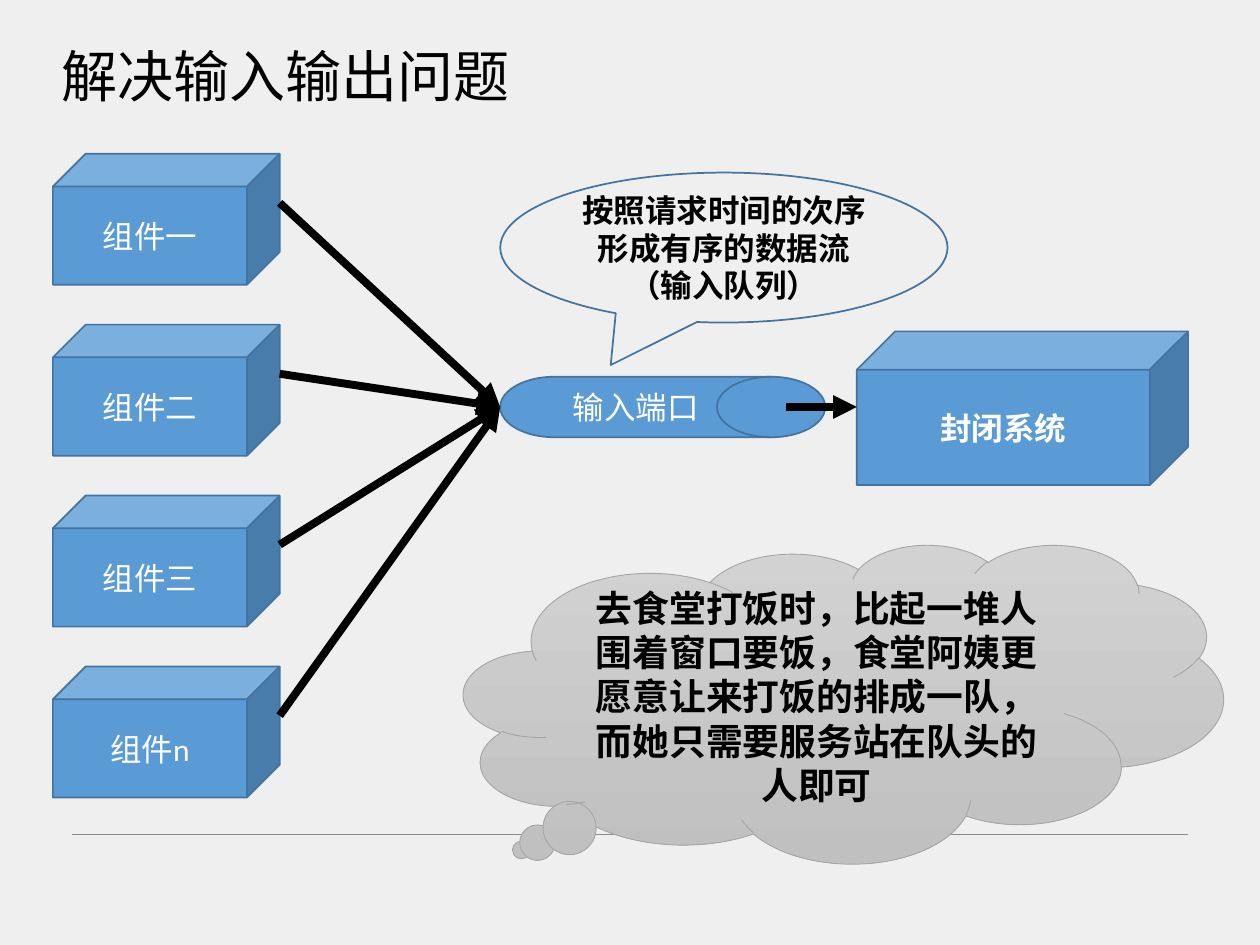
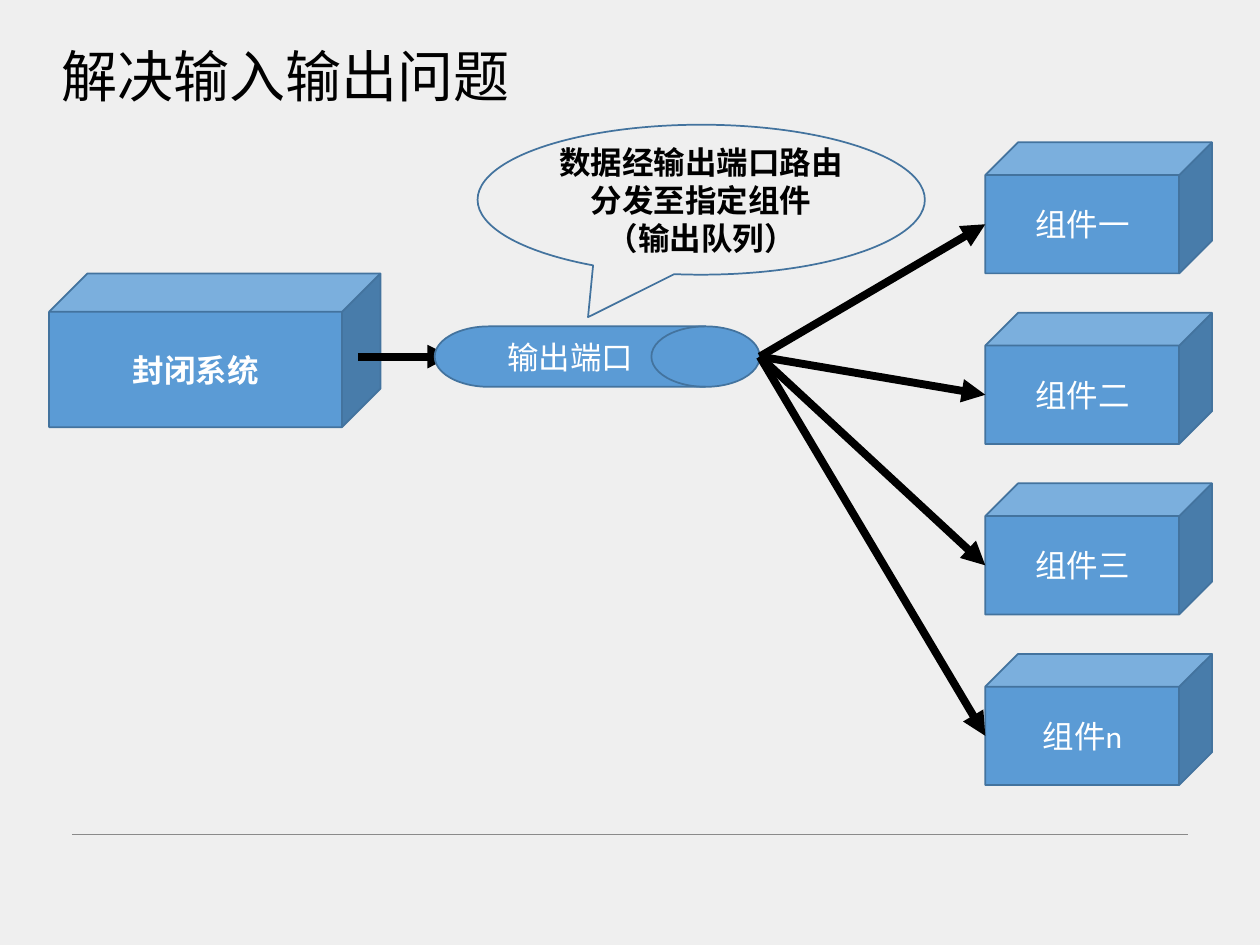
from lxml.etree import SubElement
from pptx import Presentation
from pptx.dml.color import RGBColor
from pptx.enum.shapes import MSO_CONNECTOR as Connector, MSO_SHAPE as Shape
from pptx.enum.text import MSO_ANCHOR as Anchor, MSO_AUTO_SIZE as AutoSize, PP_ALIGN as Align
from pptx.oxml.ns import qn
from pptx.util import Inches, Pt

# Content
TITLE = "解决输入输出问题"
SYSTEM = "封闭系统"
COMPONENTS = ["组件一", "组件二", "组件三", "组件n"]
INPUT = {
    "port": "输入端口",
    "callout": ["按照请求时间的次序", "形成有序的数据流", "（输入队列）"],
    "system_at": (6.8, 2.63), "port_at": (3.97, 2.99), "callout_at": (3.97, 1.37),
    "components_left": 0.42, "component_tops": (1.22, 5.29),
}
OUTPUT = {
    "port": "输出端口",
    "callout": ["数据经输出端口路由分发至指定组件", "（输出队列）"],
    "system_at": (0.39, 2.17), "port_at": (3.45, 2.59), "callout_at": (3.79, 0.99),
    "components_left": 7.82, "component_tops": (1.13, 5.19),
}
CANTEEN = "去食堂打饭时，比起一堆人围着窗口要饭，食堂阿姨更愿意让来打饭的排成一队，而她只需要服务站在队头的人即可"

# Shared style
CJK_FONT = "Noto Sans CJK SC"
BACKGROUND, BLUE, BLUE_EDGE = "EFEFEF", "5B9BD5", "43739E"
BLACK, WHITE, RULE, CLOUD_EDGE = "000000", "FFFFFF", "8A8A8A", "A5A5A5"
CLOUD_GRADIENT = ("D2D2D2", "C0C0C0")
SYSTEM_SIZE, PORT_SIZE = (2.63, 1.22), (2.58, 0.48)
CALLOUT_SIZE, COMPONENT_SIZE = (3.55, 1.19), (1.8, 1.04)
CUBE_DEPTH = 0.25 * COMPONENT_SIZE[1]
LABEL = {"size": Pt(18), "name": "Calibri", "bold": False}
SYSTEM_LABEL = {**LABEL, "bold": True}
CALLOUT_TEXT = {**SYSTEM_LABEL, "name": "Arial"}
CLOUD_TEXT = {**SYSTEM_LABEL, "size": Pt(21)}
TITLE_TEXT = {"size": Pt(32), "name": CJK_FONT, "bold": False}


def rgb(value):
    return RGBColor.from_string(value)


def write(text_frame, lines, font_format, color, align=Align.CENTER):
    for index, line in enumerate(lines):
        paragraph = text_frame.add_paragraph() if index else text_frame.paragraphs[0]
        paragraph.alignment = align
        run = paragraph.add_run()
        run.text = line
        for name, value in font_format.items():
            setattr(run.font, name, value)
        run.font.color.rgb = rgb(color)
        latin = run.font._element.find(qn("a:latin"))
        east_asian = SubElement(run.font._element, qn("a:ea"), typeface=CJK_FONT)
        latin.addnext(east_asian)


def add_shape(slide, kind, position, size, lines, font_format, color=WHITE,
              fill=BLUE, edge=BLUE_EDGE, edge_width=1, adjustments=()):
    shape = slide.shapes.add_shape(kind, *map(Inches, (*position, *size)))
    shape.shadow.inherit = False
    if fill:
        shape.fill.solid()
        shape.fill.fore_color.rgb = rgb(fill)
    else:
        shape.fill.background()
    shape.line.color.rgb = rgb(edge)
    shape.line.width = Pt(edge_width)
    for index, value in enumerate(adjustments):
        shape.adjustments[index] = value
    shape.text_frame.word_wrap = True
    shape.text_frame.vertical_anchor = Anchor.MIDDLE
    write(shape.text_frame, lines, font_format, color)
    return shape


def add_line(slide, start, end, color=BLACK, width=4.5, arrow=True):
    connector = slide.shapes.add_connector(Connector.STRAIGHT, *map(Inches, (*start, *end)))
    connector.line.color.rgb = rgb(color)
    connector.line.width = Pt(width)
    if arrow:
        SubElement(connector.line._get_or_add_ln(), qn("a:tailEnd"), type="triangle")
    SubElement(connector._element.spPr, qn("a:effectLst"))


def add_base(presentation):
    """Title and bottom rule of every slide."""
    slide = presentation.slides.add_slide(presentation.slide_layouts[5])
    add_line(slide, (0.57, 6.62), (9.43, 6.62), RULE, 0.5, arrow=False)
    title = slide.shapes.title
    box = {"left": 0.39, "top": 0.28, "width": 3.79, "height": 0.64}
    for name, value in box.items():
        setattr(title, name, Inches(value))
    frame_format = {"word_wrap": False, "auto_size": AutoSize.SHAPE_TO_FIT_TEXT,
                    "vertical_anchor": Anchor.TOP}
    for name, value in frame_format.items():
        setattr(title.text_frame, name, value)
    write(title.text_frame, [TITLE], TITLE_TEXT, BLACK, Align.LEFT)
    return slide


def add_system(slide, flow):
    add_shape(slide, Shape.CUBE, flow["system_at"], SYSTEM_SIZE, [SYSTEM], SYSTEM_LABEL)


def add_port(slide, flow):
    add_shape(slide, Shape.FLOWCHART_DIRECT_ACCESS_STORAGE, flow["port_at"], PORT_SIZE,
              [flow["port"]], LABEL)


def add_callout(slide, flow):
    add_shape(slide, Shape.OVAL_CALLOUT, flow["callout_at"], CALLOUT_SIZE, flow["callout"],
              CALLOUT_TEXT, BLACK, fill=None, adjustments=(-0.253, 0.783))


def add_components(slide, flow):
    """Stack the component cubes evenly and return their tops."""
    first, last = flow["component_tops"]
    step = (last - first) / (len(COMPONENTS) - 1)
    tops = [first + index * step for index in range(len(COMPONENTS))]
    for name, top in zip(COMPONENTS, tops):
        add_shape(slide, Shape.CUBE, (flow["components_left"], top), COMPONENT_SIZE,
                  [name], LABEL)
    return tops


def add_input_slide(presentation):
    slide = add_base(presentation)
    add_system(slide, INPUT)
    add_port(slide, INPUT)
    port_left, port_top = INPUT["port_at"]
    middle = port_top + PORT_SIZE[1] / 2
    add_line(slide, (6.24, middle), (INPUT["system_at"][0], middle))
    add_callout(slide, INPUT)

    # Components feed the left end of the port
    right = INPUT["components_left"] + COMPONENT_SIZE[0]
    for top in add_components(slide, INPUT):
        side_middle = top + (COMPONENT_SIZE[1] - CUBE_DEPTH) / 2
        add_line(slide, (right, side_middle), (port_left, middle))

    # Canteen comparison
    cloud = add_shape(slide, Shape.CLOUD_CALLOUT, (3.68, 4.32), (6.03, 2.53), [CANTEEN],
                      CLOUD_TEXT, BLACK, edge=CLOUD_EDGE, edge_width=0.5,
                      adjustments=(-0.424, 0.459))
    cloud.fill.gradient()
    cloud.fill.gradient_angle = 270
    for stop, color in zip(cloud.fill.gradient_stops, CLOUD_GRADIENT):
        stop.color.rgb = rgb(color)


def add_output_slide(presentation):
    slide = add_base(presentation)
    add_system(slide, OUTPUT)
    port_left, port_top = OUTPUT["port_at"]
    middle = port_top + PORT_SIZE[1] / 2
    add_line(slide, (2.84, middle), (3.58, middle))
    add_port(slide, OUTPUT)
    add_callout(slide, OUTPUT)

    # The right end of the port feeds the components
    for top in add_components(slide, OUTPUT):
        front_middle = top + (COMPONENT_SIZE[1] + CUBE_DEPTH) / 2
        add_line(slide, (port_left + PORT_SIZE[0], middle),
                 (OUTPUT["components_left"], front_middle))


def main():
    presentation = Presentation()
    presentation.slide_width = Inches(10)
    presentation.slide_height = Inches(7.5)
    background = presentation.slide_master.background.fill
    background.solid()
    background.fore_color.rgb = rgb(BACKGROUND)
    add_input_slide(presentation)
    add_output_slide(presentation)
    presentation.save("out.pptx")


if __name__ == "__main__":
    main()
